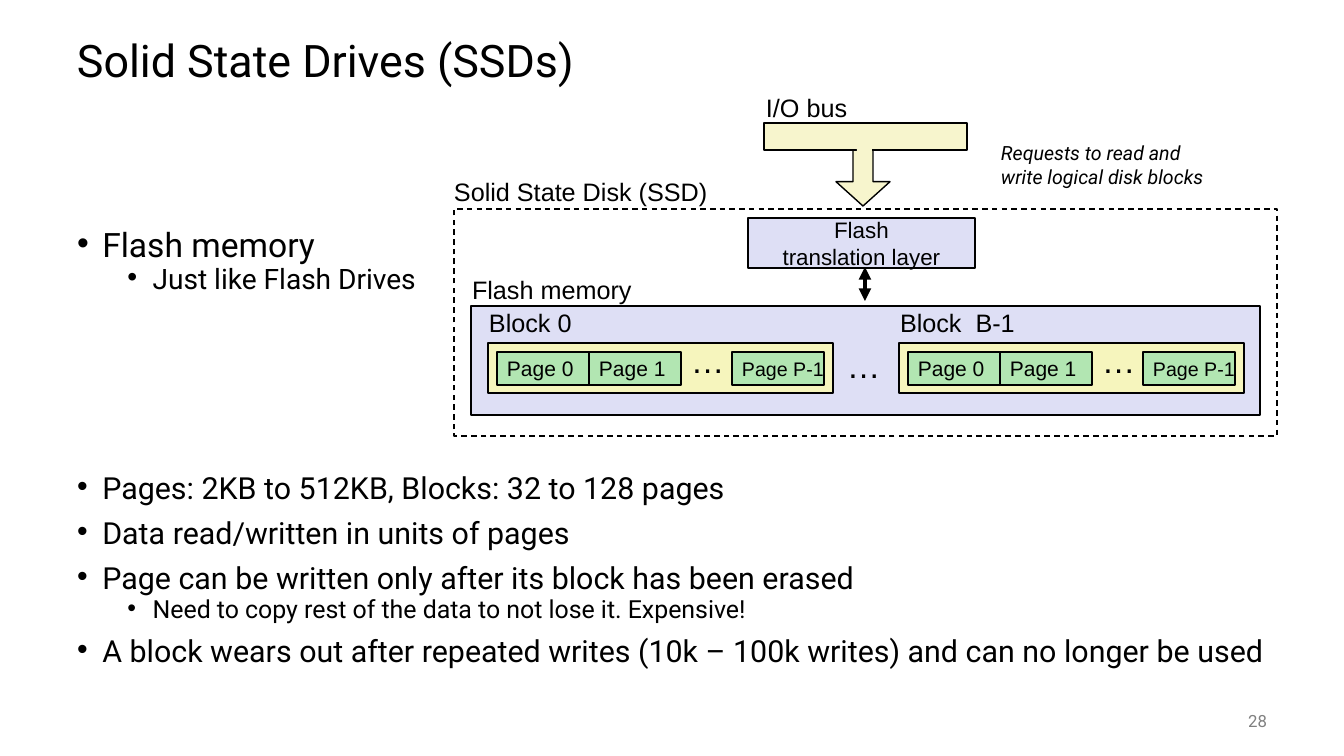
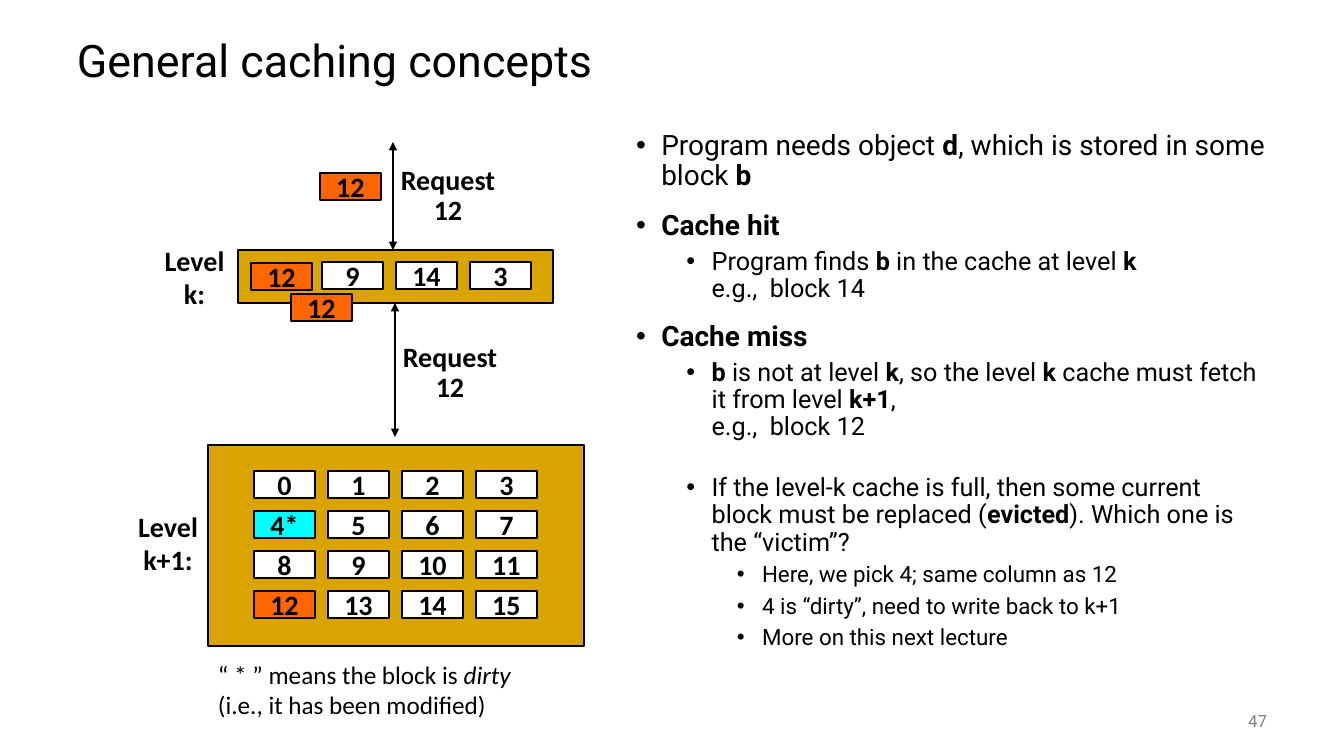
import pptx
import pptx.util
import pptx.dml.color
import pptx.enum.dml
import pptx.enum.shapes
import pptx.enum.text
import pptx.oxml

Pt = pptx.util.Pt
RGB = pptx.dml.color.RGBColor
SHAPE = pptx.enum.shapes.MSO_SHAPE
ALIGN = pptx.enum.text.PP_ALIGN
ANCHOR = pptx.enum.text.MSO_ANCHOR
NS = 'xmlns:a="http://schemas.openxmlformats.org/drawingml/2006/main"'

PX = 914400 / 100.8
BLACK = RGB(0, 0, 0)
WHITE = RGB(255, 255, 255)
GRAY = RGB(0x80, 0x80, 0x80)
LILAC = RGB(0xDE, 0xDF, 0xF5)
CREAM = RGB(0xF7, 0xF5, 0xCD)
YELLOW = RGB(0xF6, 0xF5, 0xBD)
GREEN = RGB(0xB2, 0xE6, 0xB2)
GOLD = RGB(0xD9, 0xA3, 0x00)
ORANGE = RGB(0xFF, 0x66, 0x00)
CYAN = RGB(0x00, 0xFF, 0xFF)

# List items: level, size, space before, text with |emphasis|
SSD_LIST = [
    (0, 24, 0, "Flash memory"),
    (1, 20.1, 5, "Just like Flash Drives"),
    (0, 21.7, 132, "Pages: 2KB to 512KB, Blocks: 32 to 128 pages"),
    (0, 21.7, 14, "Data read/written in units of pages"),
    (0, 21.7, 14, "Page can be written only after its block has been erased"),
    (1, 17.8, 5, "Need to copy rest of the data to not lose it. Expensive!"),
    (0, 21.7, 14, "A block wears out after repeated writes (10k – 100k writes) "
                  "and can no longer be used"),
]
CACHE_LIST = [
    (0, 20, 0, "Program needs object |d|, which is stored in some block |b|"),
    (0, 20, 14, "|Cache hit|"),
    (1, 18, 5, "Program finds |b| in the cache at level |k|\ne.g.,  block 14"),
    (0, 20, 14, "|Cache miss|"),
    (1, 18, 5, "|b| is not at level |k|, so the level |k| cache must fetch it "
               "from level |k+1|,\ne.g.,  block 12"),
    (1, 18, 24, "If the level-k cache is full, then some current block must be "
                "replaced (|evicted|). Which one is the “victim”?"),
    (2, 16, 5, "Here, we pick 4; same column as 12"),
    (2, 16, 5, "4 is “dirty”, need to write back to k+1"),
    (2, 16, 5, "More on this next lecture"),
]

# Labels: text, box
SSD_TAGS = [
    ("I/O bus", (756, 87, 103, 40)),
    ("Solid State Disk (SSD)", (444, 171, 276, 40)),
    ("Flash memory", (462, 269, 181, 40)),
]
BLOCKS = ["Block 0", "Block  B-1"]
BLOCK_X, BLOCK_STEP = 488, 411
PAGES = [(9, "Page 0", 15), (101, "Page 1", 15), (244, "Page P-1", 14)]

CACHE = [(251, 263, "12"), (322, 262, "9"), (396, 262, "14"), (470, 262, "3")]
MOVES = [(320, 173, "12"), (291, 294, "12")]
STORE = [str(n) for n in range(16)]
STORE[4] = "4*"
STORE_X, STORE_Y, COL, ROW = 254, 471, 74, 40
HUES = {"12": ORANGE, "4*": CYAN}
CACHE_TAGS = [
    (["Request", "12"], (395, 161, 106, 72), 5, 0.9),
    (["Request", "12"], (397, 338, 106, 72), 5, 0.9),
    (["Level", "k:"], (154, 238, 81, 78), 10, 1),
    (["Level", "k+1:"], (124, 504, 88, 78), 10, 1),
]


def px(*nums):
    return [round(n * PX) for n in nums]


def put(para, text, size, face, mark="bold", color=BLACK, **style):
    """Fill a paragraph run by run; parts between bars take the mark."""
    for part, words in enumerate(text.split("|")):
        for row, line in enumerate(words.split("\n")):
            if row:
                para.add_line_break()
            if not line:
                continue
            run = para.add_run()
            run.text = line
            font = run.font
            font.size, font.name = Pt(size), face
            font.color.rgb = color
            for key, value in style.items():
                setattr(font, key, value)
            if part % 2:
                setattr(font, mark, True)


def write(shape, lines, size, face, align=ALIGN.LEFT, anchor=ANCHOR.TOP,
          wrap=False, inset=10, gap=1, **style):
    frame = shape.text_frame
    frame.word_wrap = wrap
    frame.vertical_anchor = anchor
    frame.margin_left, frame.margin_right = px(inset, inset)
    frame.margin_top, frame.margin_bottom = px(5, 5)
    for i, line in enumerate(lines):
        para = frame.add_paragraph() if i else frame.paragraphs[0]
        para.alignment, para.line_spacing = align, gap
        put(para, line, size, face, **style)


def label(slide, box, lines, size, face, **opts):
    write(slide.shapes.add_textbox(*px(*box)), lines, size, face, **opts)


def draw(slide, box, fill=None, line=True, kind=SHAPE.RECTANGLE):
    shape = slide.shapes.add_shape(kind, *px(*box))
    shape.shadow.inherit = False
    if fill is None:
        shape.fill.background()
    else:
        shape.fill.solid()
        shape.fill.fore_color.rgb = fill
    if line:
        shape.line.color.rgb = BLACK
        shape.line.width = Pt(1)
    else:
        shape.line.fill.background()
    return shape


def arrow(slide, x, top, end, width):
    """Vertical line with a head at each end."""
    link = slide.shapes.add_connector(
        pptx.enum.shapes.MSO_CONNECTOR.STRAIGHT, *px(x, top, x, end))
    link.line.color.rgb = BLACK
    link.line.width = Pt(width)
    pen = link.line._get_or_add_ln()
    for tag in ("headEnd", "tailEnd"):
        pen.append(pptx.oxml.parse_xml(f'<a:{tag} {NS} type="triangle"/>'))
    link._element.spPr.append(pptx.oxml.parse_xml(f"<a:effectLst {NS}/>"))


def place(shape, box):
    shape.left, shape.top, shape.width, shape.height = px(*box)


def start(deck, title, number, items, box, gap):
    """New slide with title, bullet list and page number."""
    slide = deck.slides.add_slide(deck.slide_layouts[1])
    head, body = slide.placeholders
    place(head, (67, 25, 1210, 76))
    write(head, [title], 32, "Roboto", anchor=ANCHOR.MIDDLE, wrap=True, gap=0.9)
    place(body, box)
    frame = body.text_frame
    for shape in (head, body):
        shape.text_frame.auto_size = pptx.enum.text.MSO_AUTO_SIZE.NONE
    for i, (level, size, before, text) in enumerate(items):
        para = frame.add_paragraph() if i else frame.paragraphs[0]
        para.level = level
        para.line_spacing, para.space_before = gap, Pt(before)
        props = para._p.get_or_add_pPr()
        props.set("marL", str(228600 + 457200 * level))
        props.set("indent", "-228600")
        props.append(pptx.oxml.parse_xml(f'<a:buFont {NS} typeface="Arial"/>'))
        props.append(pptx.oxml.parse_xml(f'<a:buChar {NS} char="•"/>'))
        put(para, text, size, "Roboto")
    label(slide, (1176, 701, 101, 40), [number], 12, "Roboto", wrap=True,
          align=ALIGN.RIGHT, anchor=ANCHOR.MIDDLE, color=GRAY)
    return slide


def ssd(deck):
    slide = start(deck, "Solid State Drives (SSDs)", "28", SSD_LIST,
                  (67, 230, 1245, 450), 0.7)
    draw(slide, (471, 306, 789, 109), LILAC)
    flow = draw(slide, (836, 130, 54, 76), CREAM, kind=SHAPE.DOWN_ARROW)
    flow.adjustments[0], flow.adjustments[1] = 0.37, 0.45
    draw(slide, (764, 123, 203, 27), CREAM)
    draw(slide, (857, 140, 15, 17), CREAM, line=False)
    layer = draw(slide, (748, 218, 227, 50), LILAC)
    write(layer, ["Flash", "translation layer"], 16, "Arial",
          align=ALIGN.CENTER, anchor=ANCHOR.MIDDLE)
    arrow(slide, 865, 267, 301, 3)
    for i, name in enumerate(BLOCKS):
        x = BLOCK_X + i * BLOCK_STEP
        draw(slide, (x, 343, 345, 50), YELLOW)
        for shift, text, size in PAGES:
            page = draw(slide, (x + shift, 352, 92, 33), GREEN)
            write(page, [text], size, "Arial", anchor=ANCHOR.MIDDLE)
        label(slide, (x + 193, 335, 53, 50), ["…"], 24, "Arial")
        label(slide, (x - 9, 302, 136, 40), [name], 18, "Arial")
    label(slide, (837, 340, 53, 50), ["…"], 24, "Arial")
    disk = draw(slide, (454, 209, 823, 227))
    disk.line.dash_style = pptx.enum.dml.MSO_LINE.DASH
    for text, box in SSD_TAGS:
        label(slide, box, [text], 18, "Arial")
    label(slide, (991, 136, 235, 57),
          ["Requests to read and", "write logical disk blocks"],
          14, "Roboto", wrap=True, italic=True)


def caching(deck):
    slide = start(deck, "General caching concepts", "47", CACHE_LIST,
                  (626, 126, 650, 554), 0.9)
    draw(slide, (238, 250, 315, 53), GOLD)
    draw(slide, (208, 445, 376, 201), GOLD)
    store = [(STORE_X + i % 4 * COL, STORE_Y + i // 4 * ROW, text)
             for i, text in enumerate(STORE)]
    for x, y, text in CACHE + store + MOVES:
        tile = draw(slide, (x, y, 61, 27), HUES.get(text, WHITE))
        write(tile, [text], 20, "Calibri", align=ALIGN.CENTER,
              anchor=ANCHOR.MIDDLE, bold=True)
    arrow(slide, 393, 142, 250, 2)
    arrow(slide, 395, 303, 437, 2)
    for lines, box, inset, gap in CACHE_TAGS:
        label(slide, box, lines, 20, "Calibri", align=ALIGN.CENTER,
              inset=inset, gap=gap, bold=True)
    label(slide, (208, 654, 340, 72),
          ["“ * ” means the block is |dirty| (i.e., it has been modified)"],
          18, "Calibri", wrap=True, mark="italic")


def main():
    deck = pptx.Presentation()
    deck.slide_width, deck.slide_height = px(1344, 756)
    ssd(deck)
    caching(deck)
    deck.save("out.pptx")


if __name__ == "__main__":
    main()
